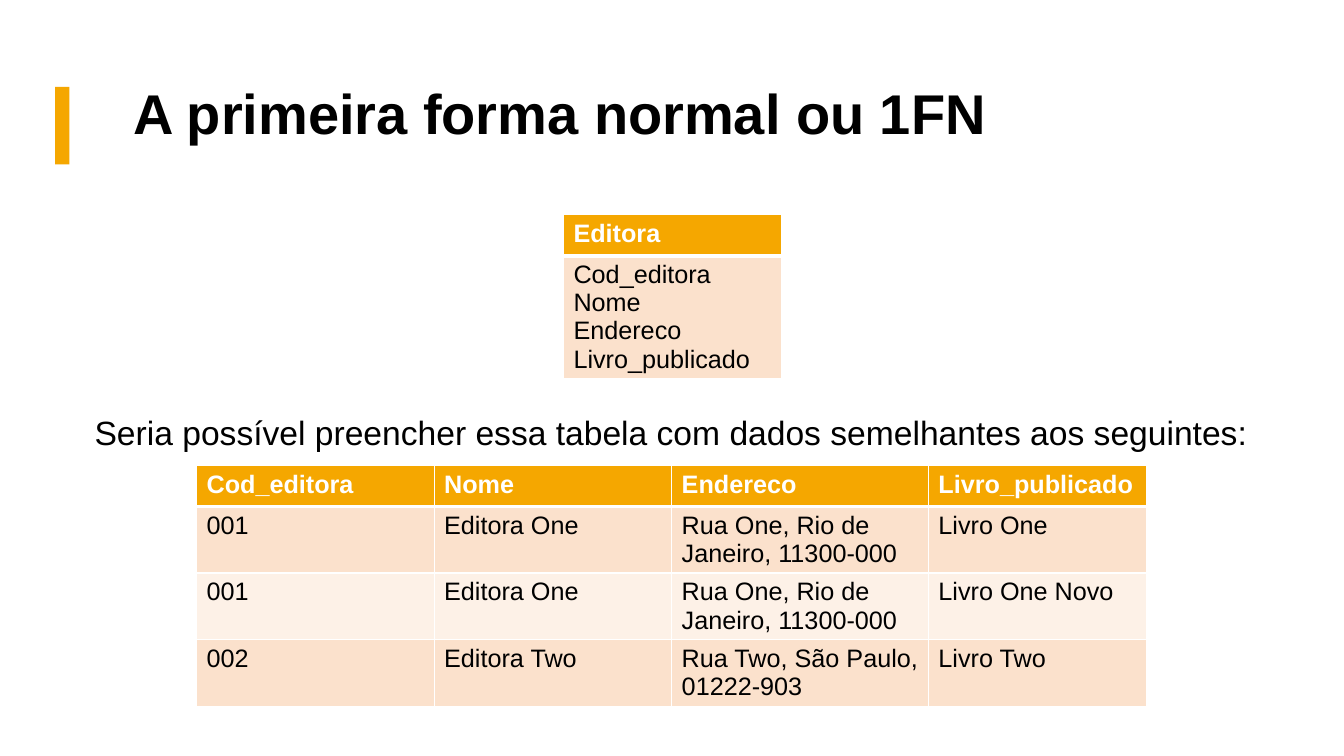
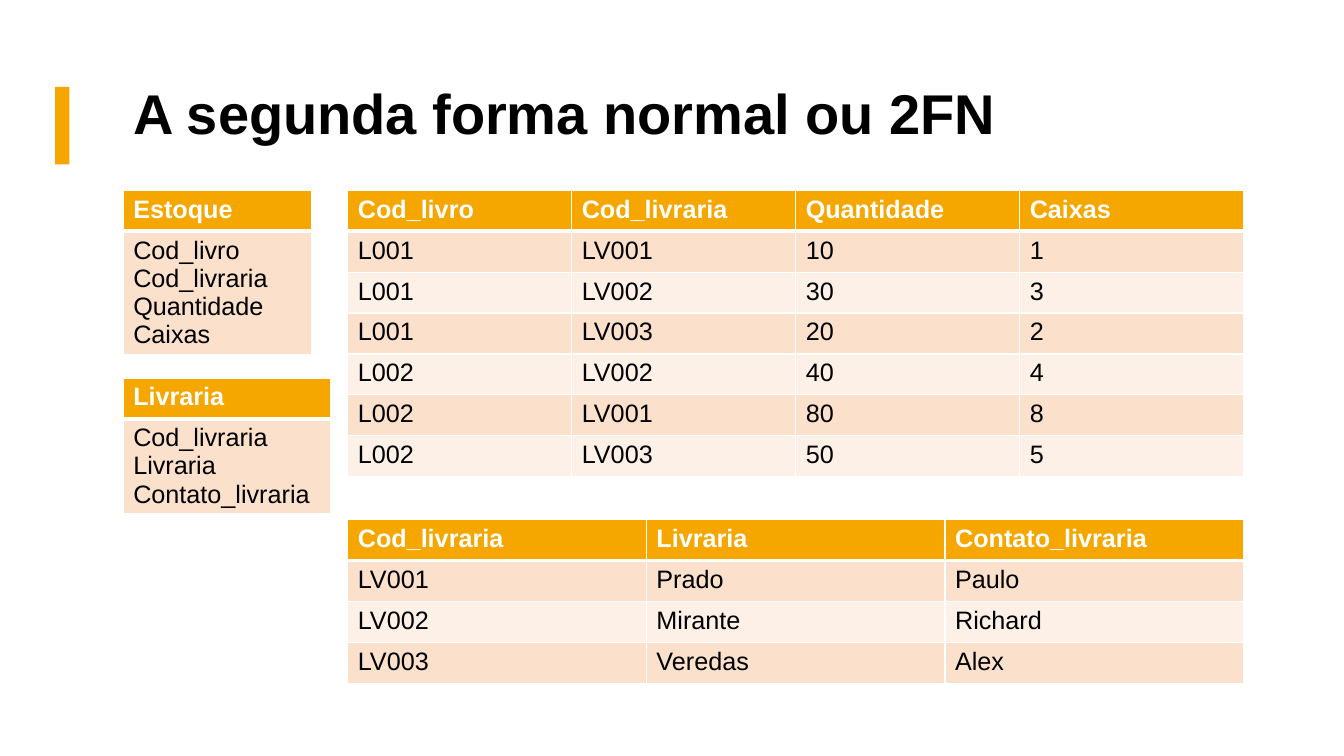
import pptx
import pptx.dml.color
import pptx.enum.shapes
import pptx.enum.text
import pptx.oxml
import pptx.oxml.ns
import pptx.util

Pt = pptx.util.Pt
COLORS = {"accent": "F5A700", "band_dark": "FBE1CC", "band_light": "FDF1E7",
          "white": "FFFFFF", "black": "000000"}
ROW_HEIGHT = 29.2
WHOLE_WIDTH = 640

SLIDES = [
    {
        "title": "A primeira forma normal ou 1FN",
        "tables": [
            {"left": 402.5, "top": 153.4, "columns": [155.5], "rows": [
                ["Editora"],
                ["Cod_editora\nNome\nEndereco\nLivro_publicado"],
            ]},
            {"left": 140.4, "top": 332.6, "columns": [169.7, 169.7, 183.4, 156.2], "rows": [
                ["Cod_editora", "Nome", "Endereco", "Livro_publicado"],
                ["001", "Editora One", "Rua One, Rio de Janeiro, 11300-000", "Livro One"],
                ["001", "Editora One", "Rua One, Rio de Janeiro, 11300-000", "Livro One Novo"],
                ["002", "Editora Two", "Rua Two, São Paulo, 01222-903", "Livro Two"],
            ]},
        ],
        "caption": "Seria possível preencher essa tabela com dados semelhantes aos seguintes:",
    },
    {
        "title": "A segunda forma normal ou 2FN",
        "tables": [
            {"left": 88, "top": 136, "columns": [134.6], "rows": [
                ["Estoque"],
                ["Cod_livro\nCod_livraria\nQuantidade\nCaixas"],
            ]},
            {"left": 88, "top": 270, "columns": [148.3], "rows": [
                ["Livraria"],
                ["Cod_livraria\nLivraria\nContato_livraria"],
            ]},
            {"left": 248.4, "top": 136, "columns": [WHOLE_WIDTH / 4] * 4, "rows": [
                ["Cod_livro", "Cod_livraria", "Quantidade", "Caixas"],
                ["L001", "LV001", "10", "1"],
                ["L001", "LV002", "30", "3"],
                ["L001", "LV003", "20", "2"],
                ["L002", "LV002", "40", "4"],
                ["L002", "LV001", "80", "8"],
                ["L002", "LV003", "50", "5"],
            ]},
            {"left": 248.4, "top": 371.2, "columns": [WHOLE_WIDTH / 3] * 3, "rows": [
                ["Cod_livraria", "Livraria", "Contato_livraria"],
                ["LV001", "Prado", "Paulo"],
                ["LV002", "Mirante", "Richard"],
                ["LV003", "Veredas", "Alex"],
            ]},
        ],
    },
]


def write_text(text_frame, text, size, color="black", bold=False):
    text_frame.text = text
    font_format = {"name": "Arial", "size": Pt(size), "bold": bold}
    for paragraph in text_frame.paragraphs:
        for run in paragraph.runs:
            for attribute, value in font_format.items():
                setattr(run.font, attribute, value)
            run.font.color.rgb = pptx.dml.color.RGBColor.from_string(COLORS[color])


def format_cell(cell, text, row_index):
    """Write one table cell with its band fill and white borders."""
    is_header = row_index == 0
    write_text(cell.text_frame, text, 18, "white" if is_header else "black", is_header)
    fill = "accent" if is_header else "band_dark" if row_index % 2 else "band_light"
    cell.fill.solid()
    cell.fill.fore_color.rgb = pptx.dml.color.RGBColor.from_string(COLORS[fill])
    widths = {"L": 1, "R": 1, "T": 3 if row_index == 1 else 1, "B": 3 if is_header else 1}
    for position, (side, width) in enumerate(widths.items()):
        border = pptx.oxml.parse_xml(
            f'<a:ln{side} {pptx.oxml.ns.nsdecls("a")} w="{Pt(width)}"><a:solidFill>'
            f'<a:srgbClr val="{COLORS["white"]}"/></a:solidFill></a:ln{side}>')
        cell._tc.get_or_add_tcPr().insert(position, border)


presentation = pptx.Presentation()
presentation.slide_width, presentation.slide_height = Pt(960), Pt(540)
layout = presentation.slide_layouts[5]
title_format = {"left": Pt(87.84), "top": Pt(43.2), "width": Pt(800.64), "height": Pt(80.3)}
for attribute, value in title_format.items():
    setattr(layout.placeholders[0], attribute, value)

for content in SLIDES:
    slide = presentation.slides.add_slide(layout)

    bar = slide.shapes.add_shape(pptx.enum.shapes.MSO_SHAPE.RECTANGLE,
                                 Pt(39.5), Pt(62), Pt(10.2), Pt(55.4))
    bar.shadow.inherit = False
    bar.fill.solid()
    bar.fill.fore_color.rgb = pptx.dml.color.RGBColor.from_string(COLORS["accent"])
    bar.line.fill.background()

    title_frame = slide.shapes.title.text_frame
    write_text(title_frame, content["title"], 40, bold=True)
    title_frame.auto_size = pptx.enum.text.MSO_AUTO_SIZE.NONE
    title_frame.vertical_anchor = pptx.enum.text.MSO_ANCHOR.MIDDLE
    title_frame.paragraphs[0].alignment = pptx.enum.text.PP_ALIGN.LEFT
    title_frame.paragraphs[0].line_spacing = 0.9

    for data in content["tables"]:
        rows, columns = data["rows"], data["columns"]
        table = slide.shapes.add_table(
            len(rows), len(columns), Pt(data["left"]), Pt(data["top"]),
            Pt(sum(columns)), Pt(ROW_HEIGHT * len(rows))).table
        for column, width in zip(table.columns, columns):
            column.width = Pt(width)
        for row_index, row in enumerate(rows):
            table.rows[row_index].height = Pt(ROW_HEIGHT)
            for column_index, text in enumerate(row):
                format_cell(table.cell(row_index, column_index), text, row_index)

    if "caption" in content:
        caption = slide.shapes.add_textbox(Pt(60.5), Pt(291), Pt(855.4), Pt(36))
        write_text(caption.text_frame, content["caption"], 24)
        caption.text_frame.word_wrap = False
        caption.text_frame.auto_size = pptx.enum.text.MSO_AUTO_SIZE.SHAPE_TO_FIT_TEXT

presentation.save("out.pptx")
